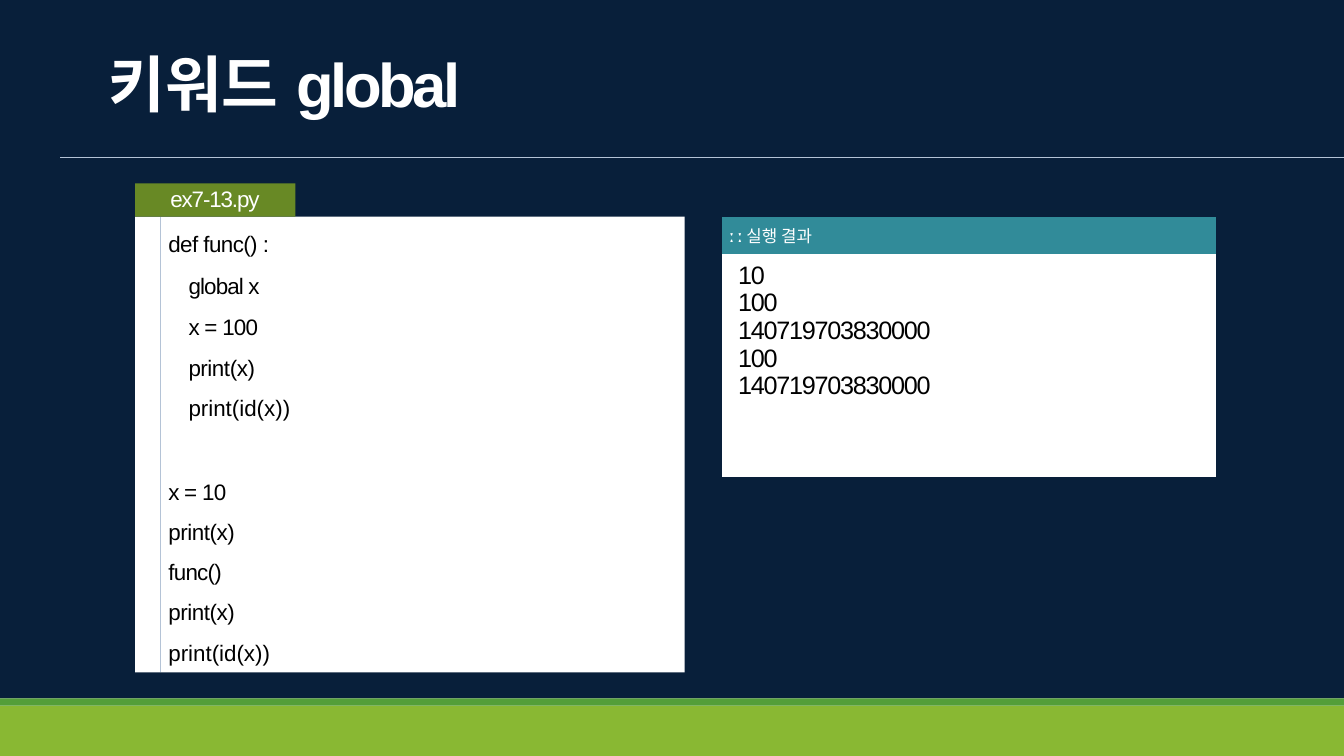
"""Build the slide on the Python keyword global, with code and its result."""
from pptx import Presentation
from pptx.dml.color import RGBColor
from pptx.enum.shapes import MSO_CONNECTOR as CONN, MSO_SHAPE as SHAPE
from pptx.enum.text import MSO_ANCHOR as ANCHOR
from pptx.oxml.ns import qn
from pptx.util import Inches, Pt

WHITE = RGBColor(0xFF, 0xFF, 0xFF)
BLACK = RGBColor(0, 0, 0)
NAVY = RGBColor(0x08, 0x1F, 0x3A)
LIME = RGBColor(0x89, 0xB8, 0x33)
GREEN = RGBColor(0x53, 0x9E, 0x39)
OLIVE = RGBColor(0x68, 0x89, 0x25)
TEAL = RGBColor(0x31, 0x8B, 0x99)
RULE = RGBColor(0xB4, 0xC3, 0xD6)
SANS, MONO, KOREAN = "Arial", "DejaVu Sans Mono", "Noto Sans CJK KR"
NO_STYLE = "{2D5ABB26-0587-4C30-8999-92F81FD0307C}"

TITLE = [("키워드", KOREAN, -0.3, True), (" ", KOREAN, 3, True), ("global", SANS, -2.5, True)]
FILE_NAME = "ex7-13.py"
CODE = [
    ("def func() :", 0, -0.4, 0),
    ("global x", 0.2, -0.6, 1),
    ("x = 100", 0.2, -0.5, 1),
    ("print(x)", 0.2, -0.3, 0),
    ("print(id(x))", 0.2, 0, 0),
    ("x = 10", 0, -0.5, 31),
    ("print(x)", 0, -0.3, 0),
    ("func()", 0, -0.5, 0),
    ("print(x)", 0, -0.3, 0),
    ("print(id(x))", 0, 0, 0),
]
RESULT_HEAD = [("ː ː ", SANS, -0.7, True), ("실행 결과", MONO, 0, False)]
RESULTS = ["10", "100", "140719703830000", "100", "140719703830000"]
RECTS = [
    (0, 0, 13.33, 6.93, NAVY),
    (0, 7, 13.33, 0.5, LIME),
    (0, 6.93, 13.33, 0.07, GREEN),
    (1.34, 2.15, 0.25, 4.52, WHITE),
    (1.59, 2.15, 5.2, 4.52, WHITE),
]


def add_rect(s, x, y, w, h, color):
    sp = s.shapes.add_shape(SHAPE.RECTANGLE, Inches(x), Inches(y), Inches(w), Inches(h))
    sp.shadow.inherit = False
    sp.fill.solid()
    sp.fill.fore_color.rgb = color
    sp.line.fill.background()
    return sp


def add_line(s, x1, y1, x2, y2, color):
    line = s.shapes.add_connector(CONN.STRAIGHT, Inches(x1), Inches(y1), Inches(x2), Inches(y2))
    line.line.color.rgb = color
    line.line.width = Pt(0.5)
    sp_pr = line._element.spPr
    sp_pr.append(sp_pr.makeelement(qn("a:effectLst"), {}))


def set_margins(target, top, left=0):
    target.margin_left = Inches(left)
    target.margin_right = target.margin_bottom = 0
    target.margin_top = Inches(top)


def frame(sp, top, anchor):
    tf = sp.text_frame
    tf.word_wrap = True
    set_margins(tf, top)
    tf.vertical_anchor = anchor
    return tf


def add_text_box(s, x, y, w, h, anchor):
    box = s.shapes.add_textbox(Inches(x), Inches(y), Inches(w), Inches(h))
    return frame(box, 0.01, anchor)


def set_font(font, props, name, size, color, spacing):
    font.size = Pt(size)
    font.color.rgb = color
    font.name = name
    east = props.makeelement(qn("a:ea"), {"typeface": KOREAN})
    props.find(qn("a:latin")).addnext(east)
    props.set("spc", str(round(spacing * 100)))


def write_lines(tf, lines, size, color, line_spacing=1.0):
    for i, (text, indent, spacing, before) in enumerate(lines):
        p = tf.add_paragraph() if i else tf.paragraphs[0]
        p.text = text
        p.line_spacing = line_spacing
        p.space_before = Pt(before)
        p_pr = p._p.get_or_add_pPr()
        p_pr.set("marL", str(Inches(indent)))
        p_pr.set("algn", "l")
        font = p.font
        set_font(font, p_pr.find(qn("a:defRPr")), SANS, size, color, spacing)


def write_runs(p, runs, size):
    for text, name, spacing, bold in runs:
        r = p.add_run()
        r.text = text
        r.font.bold = bold
        set_font(r.font, r._r.rPr, name, size, WHITE, spacing)


def add_results(s):
    heights = [0.37, 2.21]
    shape = s.shapes.add_table(2, 1, Inches(7.16), Inches(2.15), Inches(4.9), Inches(sum(heights)))
    table = shape.table
    table._tbl.tblPr.find(qn("a:tableStyleId")).text = NO_STYLE
    table.first_row = table.horz_banding = False
    head, body = table.cell(0, 0), table.cell(1, 0)
    layout = [(head, TEAL, 0.06, 0.07), (body, WHITE, 0.08, 0.16)]
    for row, height, (cell, fill, top, left) in zip(table.rows, heights, layout):
        row.height = Inches(height)
        cell.fill.solid()
        cell.fill.fore_color.rgb = fill
        set_margins(cell, top, left)
    write_runs(head.text_frame.paragraphs[0], RESULT_HEAD, 12)
    write_lines(body.text_frame, [(text, 0, -0.9, 0) for text in RESULTS], 18, BLACK, 0.98)


def main():
    prs = Presentation()
    prs.slide_width, prs.slide_height = Inches(13.33), Inches(7.5)
    s = prs.slides.add_slide(prs.slide_layouts[6])
    for rect in RECTS:
        add_rect(s, *rect)
    title = add_text_box(s, 1.08, 0.44, 5, 0.75, ANCHOR.MIDDLE)
    write_runs(title.paragraphs[0], TITLE, 44)
    add_line(s, 0.6, 1.56, 13.33, 1.56, RULE)
    add_line(s, 1.59, 2.15, 1.59, 6.67, RULE)
    code = add_text_box(s, 1.67, 2.14, 4.23, 4.45, ANCHOR.TOP)
    write_lines(code, CODE, 16, BLACK, 1.5)
    add_results(s)
    tab = add_rect(s, 1.34, 1.82, 1.59, 0.33, OLIVE)
    write_lines(frame(tab, 0.02, ANCHOR.TOP), [(FILE_NAME, 0.35, -0.8, 0)], 16, WHITE)
    prs.save("out.pptx")


if __name__ == "__main__":
    main()
